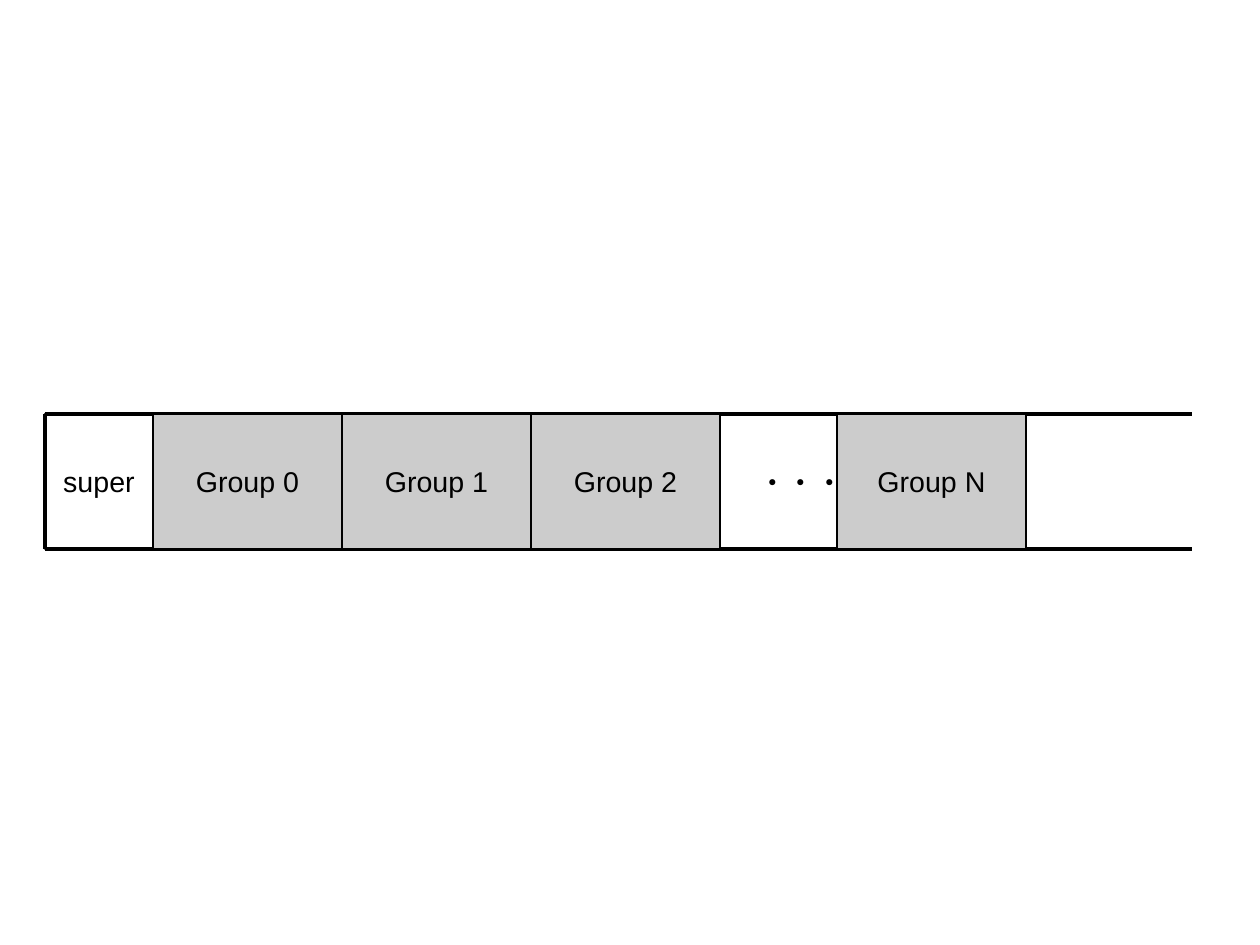
from typing import NamedTuple, Optional

from lxml.etree import SubElement
from pptx import Presentation
from pptx.dml.color import RGBColor
from pptx.enum.shapes import MSO_CONNECTOR as Connector, MSO_SHAPE as Shape
from pptx.enum.text import MSO_ANCHOR as Anchor, MSO_AUTO_SIZE as AutoSize, PP_ALIGN as Align
from pptx.oxml.ns import qn
from pptx.util import Cm, Pt

BLACK = "000000"
GREY = "CCCCCC"
LEFT, RIGHT = 1.0, 26.5
TOP, BOTTOM = 9.2, 12.2
SUPER_WIDTH, GROUP_WIDTH = 2.4, 4.2
FIRST_GROUP, LAST_GROUP = LEFT + SUPER_WIDTH, 18.6


class Block(NamedTuple):
    label: str
    left: float
    width: float = GROUP_WIDTH
    fill: Optional[str] = GREY


class Edge(NamedTuple):
    x1: float
    y1: float
    x2: float
    y2: float


EDGES = [
    Edge(LEFT, BOTTOM, LEFT, TOP),
    Edge(LEFT, TOP, RIGHT, TOP),
    Edge(LEFT, BOTTOM, RIGHT, BOTTOM),
]
BLOCKS = [
    Block("super", LEFT, SUPER_WIDTH, None),
    *(Block(f"Group {n}", FIRST_GROUP + n * GROUP_WIDTH) for n in range(3)),
    Block("Group N", LAST_GROUP),
]


def color(value: str) -> RGBColor:
    return RGBColor.from_string(value)


def write(frame, text: str, align: Align) -> None:
    frame.word_wrap = False
    para = frame.paragraphs[0]
    para.alignment = align
    span = para.add_run()
    span.text = text
    span.font.name = "Arial"
    span.font.size = Pt(18)
    span.font.color.rgb = color(BLACK)


def draw_edge(page, edge: Edge) -> None:
    line = page.shapes.add_connector(Connector.STRAIGHT, *map(Cm, edge))
    line.line.color.rgb = color(BLACK)
    line.line.width = Pt(2.3)
    SubElement(line.element.spPr, qn("a:effectLst"))


def draw_block(page, block: Block) -> None:
    box = page.shapes.add_shape(
        Shape.RECTANGLE, Cm(block.left), Cm(TOP), Cm(block.width), Cm(BOTTOM - TOP))
    box.shadow.inherit = False
    if block.fill:
        box.fill.solid()
        box.fill.fore_color.rgb = color(block.fill)
    else:
        box.fill.background()
    box.line.color.rgb = color(BLACK)
    box.line.width = Pt(1.5)
    frame = box.text_frame
    frame.vertical_anchor = Anchor.MIDDLE
    frame.margin_left = frame.margin_right = Cm(0.28)
    frame.margin_top = frame.margin_bottom = Cm(0.15)
    write(frame, block.label, Align.CENTER)


def draw_dots(page) -> None:
    box = page.shapes.add_textbox(Cm(16.6), Cm(10.2), Cm(2.41), Cm(1.16))
    box.text_frame.auto_size = AutoSize.SHAPE_TO_FIT_TEXT
    write(box.text_frame, "・・・", Align.LEFT)


def main() -> None:
    deck = Presentation()
    deck.slide_width, deck.slide_height = Cm(28), Cm(21)
    page = deck.slides.add_slide(deck.slide_layouts[6])
    for edge in EDGES:
        draw_edge(page, edge)
    for block in BLOCKS[:-1]:
        draw_block(page, block)
    draw_dots(page)
    draw_block(page, BLOCKS[-1])
    deck.save("out.pptx")


if __name__ == "__main__":
    main()
